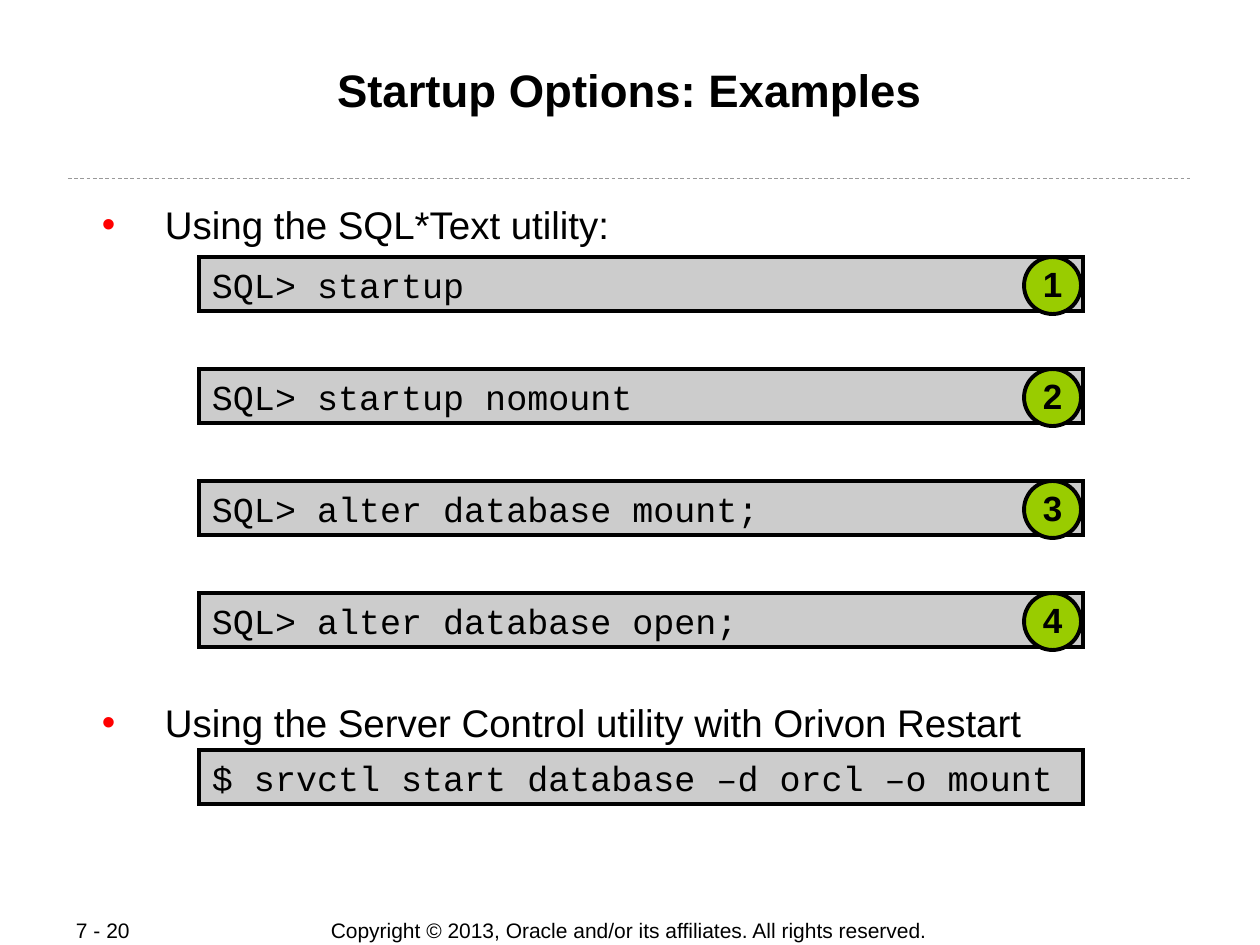
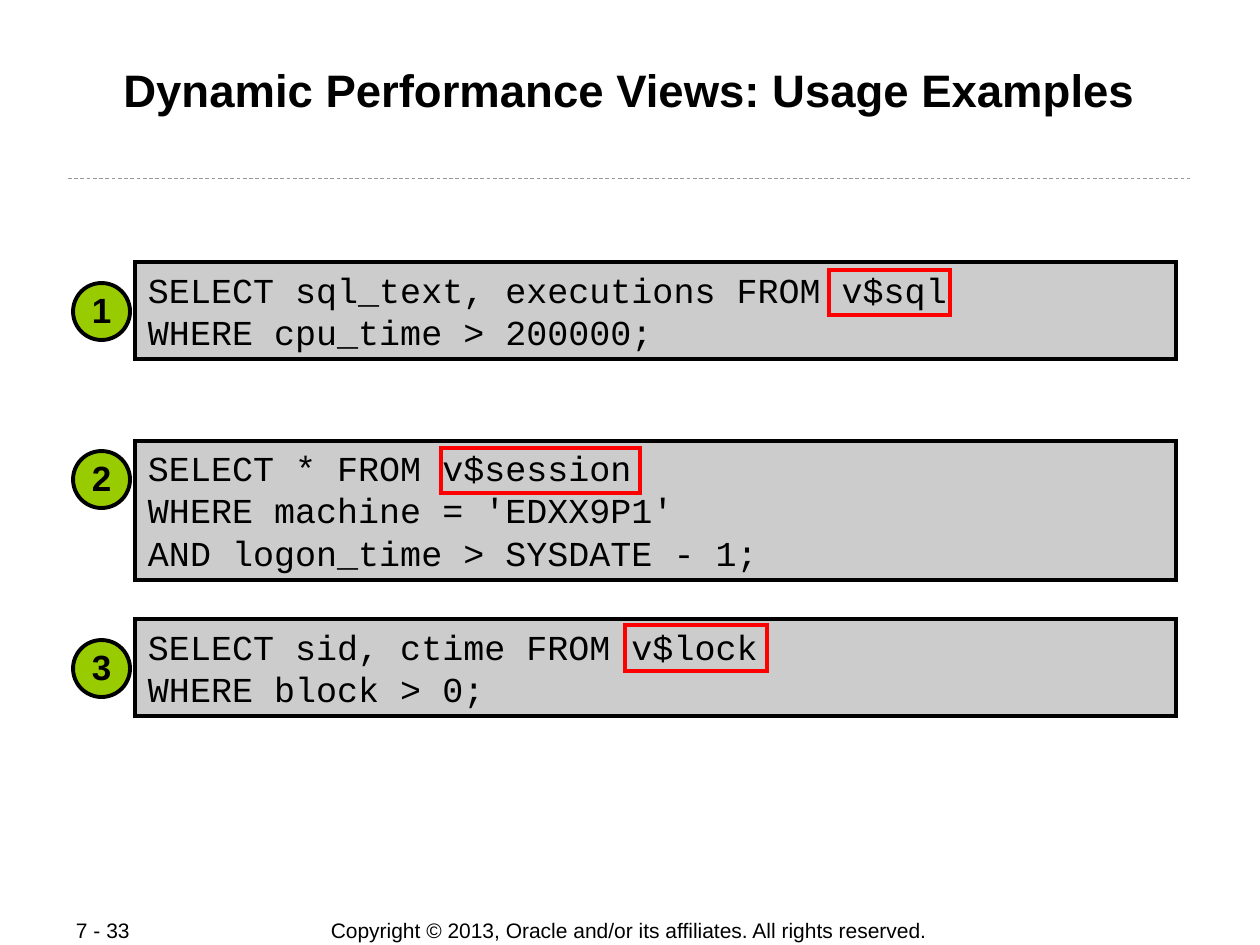
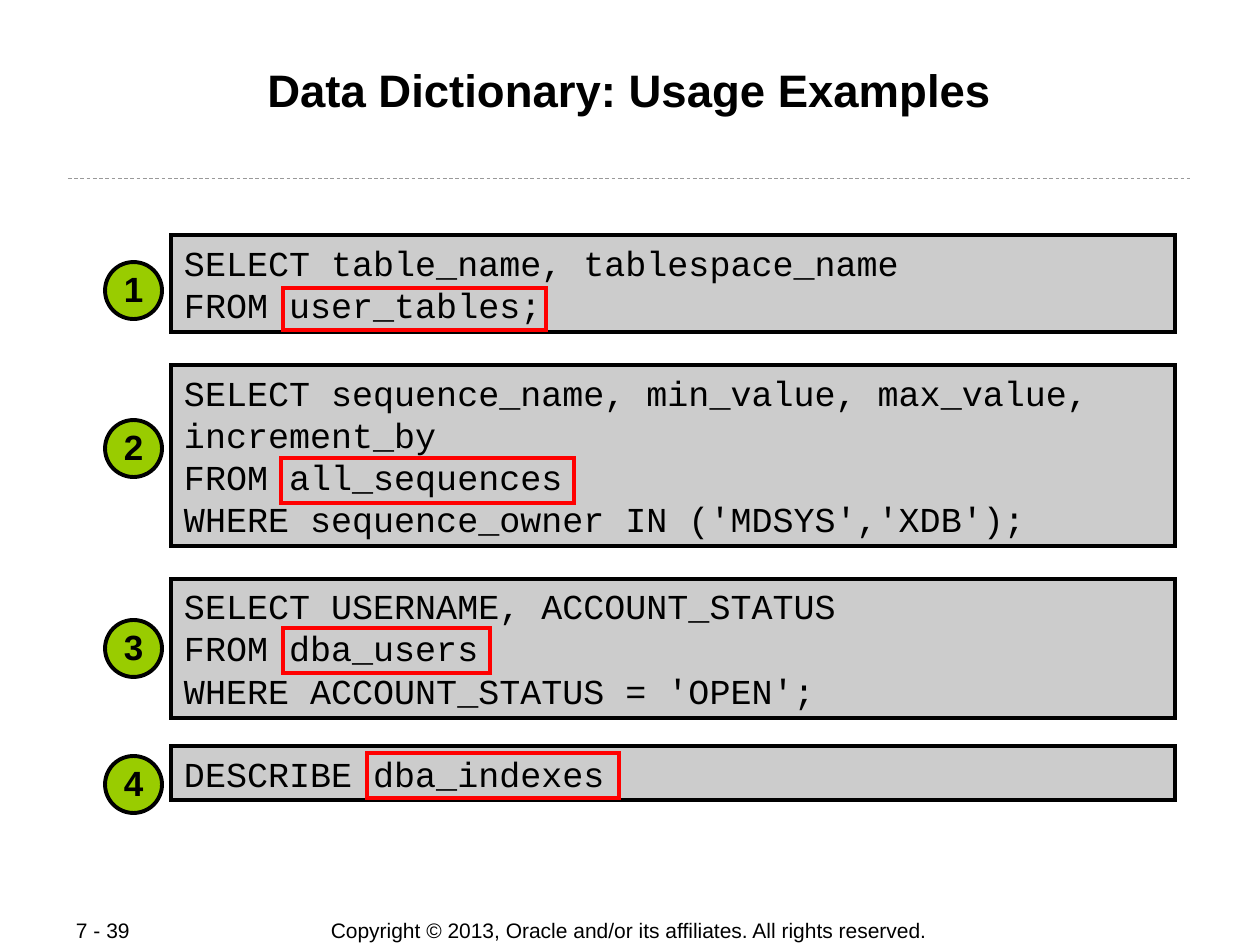
"""Builds three slides of database command examples."""
from lxml.etree import SubElement
from pptx import Presentation
from pptx.dml.color import RGBColor as Rgb
from pptx.enum.dml import MSO_LINE as Dash
from pptx.enum.shapes import MSO_CONNECTOR as Link, MSO_SHAPE as Kind
from pptx.enum.text import MSO_ANCHOR as Anchor, MSO_AUTO_SIZE as Fit, PP_ALIGN as Align
from pptx.oxml.ns import qn
from pptx.util import Pt

EMU_PER_PX = 914400 / 126
COLORS = {"text": "000000", "code": "CCCCCC", "badge": "99CC00",
          "mark": "FF0000", "rule": "999999"}
COPYRIGHT = "Copyright © 2013, Oracle and/or its affiliates. All rights reserved."
TITLE_ONLY, TITLE_AND_BODY = 5, 1
CODE_HEIGHTS = {1: 54, 2: 97, 3: 139, 4: 181}
BADGE_SIZE = 57


def px(*lengths):
    return [round(length * EMU_PER_PX) for length in lengths]


class Deck:
    """Holds the shared style and the slide being built."""

    def __init__(self):
        self.prs = Presentation()
        self.prs.slide_width, self.prs.slide_height = px(1260, 945)
        self.slide = None

    def color(self, name):
        return Rgb.from_string(COLORS[name])

    def font(self, paragraph, size, name="Arial", bold=False):
        font = paragraph.font
        font.size, font.name, font.bold = Pt(size), name, bold
        font.color.rgb = self.color("text")

    def frame(self, shape, insets, anchor=Anchor.TOP, wrap=True, fit=Fit.NONE):
        frame = shape.text_frame
        frame.margin_left, frame.margin_top, frame.margin_right, frame.margin_bottom = px(*insets)
        frame.vertical_anchor, frame.word_wrap, frame.auto_size = anchor, wrap, fit
        return frame

    def place(self, shape, left, top, width, height):
        shape.left, shape.top, shape.width, shape.height = px(left, top, width, height)

    def start(self, layout, title, page):
        self.slide = self.prs.slides.add_slide(self.prs.slide_layouts[layout])
        heading = self.slide.shapes.title
        self.place(heading, 84, 60, 1091, 121)
        frame = self.frame(heading, (1, 2, 1, 1))
        frame.text = title
        frame.paragraphs[0].alignment = Align.CENTER
        self.font(frame.paragraphs[0], 26, bold=True)
        self.rule(68, 178, 1192)
        self.footer(COPYRIGHT, 346, 566, Align.CENTER, False)
        self.footer(page, 63, 134, Align.LEFT, True)

    def rule(self, left, y, right):
        rule = self.slide.shapes.add_connector(Link.STRAIGHT, *px(left, y, right, y))
        rule.line.color.rgb = self.color("rule")
        rule.line.width, rule.line.dash_style = Pt(0.5), Dash.DASH
        SubElement(rule.line._get_or_add_ln().getparent(), qn("a:effectLst"))

    def footer(self, text, left, width, align, wrap):
        box = self.slide.shapes.add_textbox(*px(left, 917, width, 26))
        frame = self.frame(box, (13, 6, 13, 6), Anchor.MIDDLE, wrap)
        frame.text = text
        frame.paragraphs[0].alignment = align
        self.font(frame.paragraphs[0], 12)

    def bullets(self, items, gap):
        body = self.slide.placeholders[1]
        self.place(body, 84, 199, 1091, 554)
        frame = self.frame(body, (2, 2, 1, 1))
        frame.text = "\n".join(items)
        for index, paragraph in enumerate(frame.paragraphs):
            paragraph.space_before = Pt(gap if index else 0)
            props = paragraph._p.get_or_add_pPr()
            indent, hanging = px(79, -63)
            props.set("marL", str(indent))
            props.set("indent", str(hanging))
            bullet_color = SubElement(props, qn("a:buClr"))
            SubElement(bullet_color, qn("a:srgbClr"), val=COLORS["mark"])
            SubElement(props, qn("a:buChar"), char="•")
            self.font(paragraph, 22)

    def shape(self, kind, left, top, width, height, fill=None, line="text"):
        shape = self.slide.shapes.add_shape(kind, *px(left, top, width, height))
        shape.shadow.inherit = False
        if fill:
            shape.fill.solid()
            shape.fill.fore_color.rgb = self.color(fill)
        else:
            shape.fill.background()
        shape.line.color.rgb = self.color(line)
        shape.line.width = Pt(2.25)
        SubElement(shape.line._get_or_add_ln(), qn("a:miter"), lim="800000")
        return shape

    def code(self, left, top, width, text, rows=1):
        box = self.shape(Kind.RECTANGLE, left, top, width, CODE_HEIGHTS[rows], "code")
        frame = self.frame(box, (13, 6, 13, 6), fit=Fit.SHAPE_TO_FIT_TEXT)
        frame.text = text
        for paragraph in frame.paragraphs:
            paragraph.alignment = Align.LEFT
            paragraph.line_spacing = Pt(24)
            self.font(paragraph, 20, "Courier New")

    def badge(self, left, top, number):
        circle = self.shape(Kind.OVAL, left, top, BADGE_SIZE, BADGE_SIZE, "badge")
        frame = self.frame(circle, (6, 6, 6, 6), Anchor.MIDDLE, False)
        frame.text = str(number)
        frame.paragraphs[0].alignment = Align.CENTER
        frame.paragraphs[0].line_spacing = 0.95
        self.font(frame.paragraphs[0], 20, bold=True)

    def highlight(self, *bounds):
        self.shape(Kind.RECTANGLE, *bounds, line="mark")

    def queries(self, left, width, badge_left, queries):
        for number, (top, rows, text, view_bounds, badge_top) in enumerate(queries, 1):
            self.code(left, top, width, text, rows)
            self.highlight(*view_bounds)
            self.badge(badge_left, badge_top, number)


def main():
    deck = Deck()

    deck.start(TITLE_AND_BODY, "Startup Options: Examples", "7 - 20")
    deck.bullets(["Using the SQL*Text utility:",
                  "Using the Server Control utility with Orivon Restart"], 258)
    commands = ["startup", "startup nomount", "alter database mount;", "alter database open;"]
    for index, command in enumerate(commands):
        top = 257 + 112 * index
        deck.code(199, top, 884, f"SQL> {command}")
        deck.badge(1024, top, index + 1)
    deck.code(199, 750, 884, "$ srvctl start database –d orcl –o mount")

    deck.start(TITLE_ONLY, "Dynamic Performance Views: Usage Examples", "7 - 33")
    deck.queries(135, 1041, 73, [
        (262, 2, "SELECT sql_text, executions FROM v$sql\nWHERE cpu_time > 200000;",
         (829, 270, 121, 45), 283),
        (441, 3, "SELECT * FROM v$session\nWHERE machine = 'EDXX9P1'\n"
                 "AND logon_time > SYSDATE - 1;",
         (441, 448, 199, 45), 451),
        (619, 2, "SELECT sid, ctime FROM v$lock\nWHERE block > 0;",
         (625, 625, 142, 46), 640),
    ])

    deck.start(TITLE_ONLY, "Data Dictionary: Usage Examples", "7 - 39")
    deck.queries(171, 1004, 105, [
        (235, 2, "SELECT table_name, tablespace_name\nFROM user_tables;",
         (283, 288, 263, 42), 262),
        (365, 4, "SELECT sequence_name, min_value, max_value, increment_by\n"
                 "FROM all_sequences\nWHERE sequence_owner IN ('MDSYS','XDB');",
         (281, 458, 293, 45), 420),
        (579, 3, "SELECT USERNAME, ACCOUNT_STATUS\nFROM dba_users\n"
                 "WHERE ACCOUNT_STATUS = 'OPEN';",
         (283, 628, 207, 45), 620),
        (746, 1, "DESCRIBE dba_indexes", (367, 753, 252, 45), 756),
    ])

    deck.prs.save("out.pptx")


if __name__ == "__main__":
    main()
